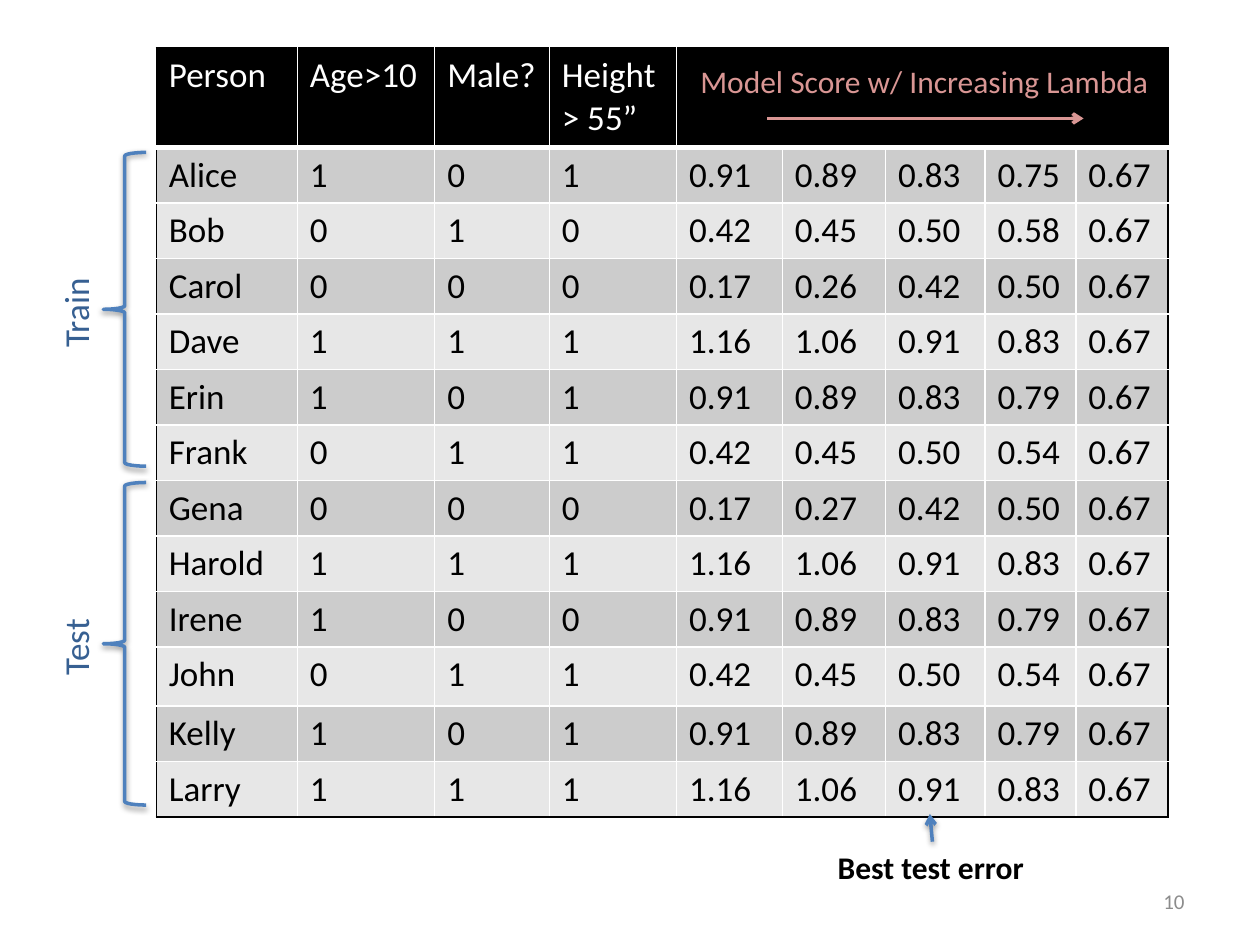
from lxml.etree import SubElement
from pptx import Presentation
from pptx.dml.color import RGBColor
from pptx.enum.shapes import MSO_CONNECTOR, MSO_SHAPE
from pptx.enum.text import MSO_ANCHOR, PP_ALIGN
from pptx.oxml.ns import qn
from pptx.util import Inches, Pt

BLACK = RGBColor(0x00, 0x00, 0x00)
WHITE = RGBColor(0xFF, 0xFF, 0xFF)
DARK_BAND = RGBColor(0xCC, 0xCC, 0xCC)
LIGHT_BAND = RGBColor(0xE7, 0xE7, 0xE7)
BLUE = RGBColor(0x4F, 0x81, 0xBD)
DARK_BLUE = RGBColor(0x37, 0x60, 0x92)
PINK = RGBColor(0xD9, 0x96, 0x94)
GREY = RGBColor(0x8C, 0x8C, 0x8C)

HEADER = ["Person", "Age>10", "Male?", "Height\n> 55”", "", "", "", "", ""]
PEOPLE = """Alice 1 0 1 0.91 0.89 0.83 0.75 0.67
Bob 0 1 0 0.42 0.45 0.50 0.58 0.67
Carol 0 0 0 0.17 0.26 0.42 0.50 0.67
Dave 1 1 1 1.16 1.06 0.91 0.83 0.67
Erin 1 0 1 0.91 0.89 0.83 0.79 0.67
Frank 0 1 1 0.42 0.45 0.50 0.54 0.67
Gena 0 0 0 0.17 0.27 0.42 0.50 0.67
Harold 1 1 1 1.16 1.06 0.91 0.83 0.67
Irene 1 0 0 0.91 0.89 0.83 0.79 0.67
John 0 1 1 0.42 0.45 0.50 0.54 0.67
Kelly 1 0 1 0.91 0.89 0.83 0.79 0.67
Larry 1 1 1 1.16 1.06 0.91 0.83 0.67"""
ROWS = [HEADER] + [line.split() for line in PEOPLE.splitlines()]
COL_WIDTHS = [1.12, 1.09, 0.91, 1.01, 0.84, 0.82, 0.79, 0.72, 0.73]
ROW_HEIGHTS = [0.79] + [0.44] * 9 + [0.47] + [0.44] * 2
FIRST_SCORE = 4


def set_font(p, size, color, bold=False):
    p.font.name = "Calibri"
    p.font.size = Pt(size)
    p.font.bold = bold
    p.font.color.rgb = color


def add_text(s, box, text, size, color, bold=False, wrap=False):
    tb = s.shapes.add_textbox(*map(Inches, box))
    tf = tb.text_frame
    tf.word_wrap = wrap
    tf.text = text
    set_font(tf.paragraphs[0], size, color, bold)
    return tb


def add_shadow(shape):
    sp_pr = shape._element.spPr
    effects = SubElement(sp_pr, qn("a:effectLst"))
    shadow = SubElement(effects, qn("a:outerShdw"), blurRad="40000",
                        dist="20000", dir="5400000", rotWithShape="0")
    color = SubElement(shadow, qn("a:srgbClr"), val=str(BLACK))
    SubElement(color, qn("a:alpha"), val="38000")


def add_arrow(s, start, end, color):
    arrow = s.shapes.add_connector(MSO_CONNECTOR.STRAIGHT,
                                   *map(Inches, start + end))
    arrow.line.color.rgb = color
    arrow.line.width = Pt(2)
    SubElement(arrow.line._get_or_add_ln(), qn("a:tailEnd"), type="arrow")
    add_shadow(arrow)


def set_borders(cell, row, col):
    """Black around the table and between header scores, white elsewhere."""
    last_row, last_col = len(ROWS) - 1, len(COL_WIDTHS) - 1
    header = row == 0
    black = {
        "L": col == 0 or header and col > FIRST_SCORE,
        "R": col == last_col or header and col >= FIRST_SCORE,
        "T": header,
        "B": row == last_row,
    }
    tc_pr = cell._tc.get_or_add_tcPr()
    for i, (side, is_black) in enumerate(black.items()):
        width = Pt(3) if header and side == "B" else Pt(1)
        ln = tc_pr.makeelement(qn(f"a:ln{side}"), {"w": str(width)})
        tc_pr.insert(i, ln)
        fill = SubElement(ln, qn("a:solidFill"))
        SubElement(fill, qn("a:srgbClr"), val=str(BLACK if is_black else WHITE))


def add_score_table(s, left, top):
    frame = s.shapes.add_table(
        len(ROWS), len(COL_WIDTHS), Inches(left), Inches(top),
        Inches(sum(COL_WIDTHS)), Inches(sum(ROW_HEIGHTS)))
    table = frame.table
    table.first_row = table.horz_banding = False
    for column, width in zip(table.columns, COL_WIDTHS):
        column.width = Inches(width)
    for r, (values, height) in enumerate(zip(ROWS, ROW_HEIGHTS)):
        table.rows[r].height = Inches(height)
        band = BLACK if r == 0 else DARK_BAND if r % 2 else LIGHT_BAND
        for c, value in enumerate(values):
            cell = table.cell(r, c)
            cell.fill.solid()
            cell.fill.fore_color.rgb = band
            set_borders(cell, r, c)
            cell.text_frame.text = value
            for p in cell.text_frame.paragraphs:
                set_font(p, 20, BLACK if r else WHITE)


def add_group_label(s, brace_box, label_box, text):
    brace = s.shapes.add_shape(MSO_SHAPE.LEFT_BRACE, *map(Inches, brace_box))
    brace.fill.background()
    brace.line.color.rgb = BLUE
    brace.line.width = Pt(2)
    add_shadow(brace)
    add_text(s, label_box, text, 20, DARK_BLUE).rotation = 270


def add_slide_number(s, box, number):
    tf = add_text(s, box, number, 12, GREY, wrap=True).text_frame
    tf.vertical_anchor = MSO_ANCHOR.MIDDLE
    tf.paragraphs[0].alignment = PP_ALIGN.RIGHT


def main():
    prs = Presentation()
    prs.slide_width, prs.slide_height = Inches(10), Inches(7.5)
    s = prs.slides.add_slide(prs.slide_layouts[6])

    # People, features and model scores
    add_score_table(s, 1.24, 0.38)

    # Train and test groups
    add_group_label(s, (0.82, 1.21, 0.34, 2.49), (0.21, 2.25, 0.78, 0.44), "Train")
    add_group_label(s, (0.82, 3.83, 0.34, 2.56), (0.26, 4.9, 0.68, 0.44), "Test")

    # Heading over the score columns
    add_text(s, (5.46, 0.44, 3.8, 0.4), "Model Score w/ Increasing Lambda", 18, PINK)
    add_arrow(s, (6.09, 0.94), (8.6, 0.94), PINK)

    # Best column
    add_text(s, (6.55, 6.68, 1.71, 0.4), "Best test error", 18, BLACK, bold=True)
    add_arrow(s, (7.4, 6.68), (7.38, 6.46), BLUE)

    add_slide_number(s, (7.17, 6.95, 2.33, 0.4), "10")
    prs.save("out.pptx")


if __name__ == "__main__":
    main()
